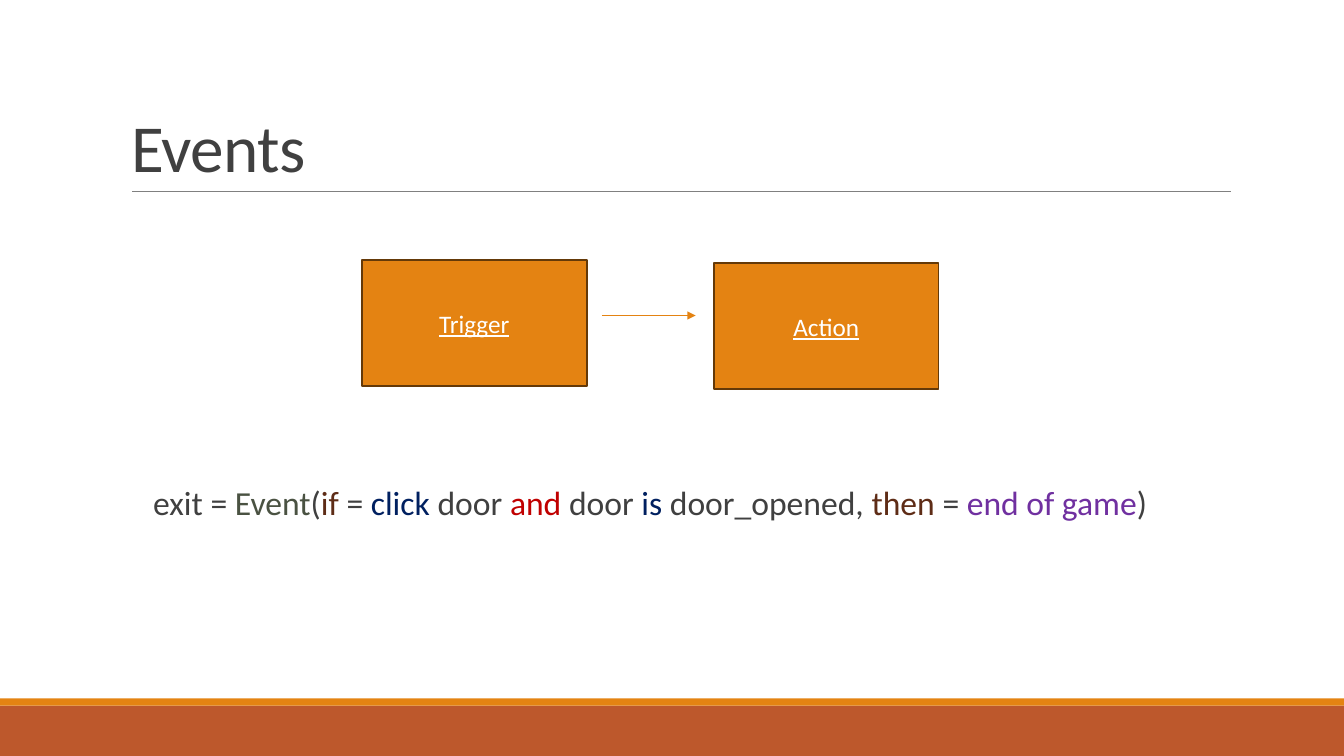
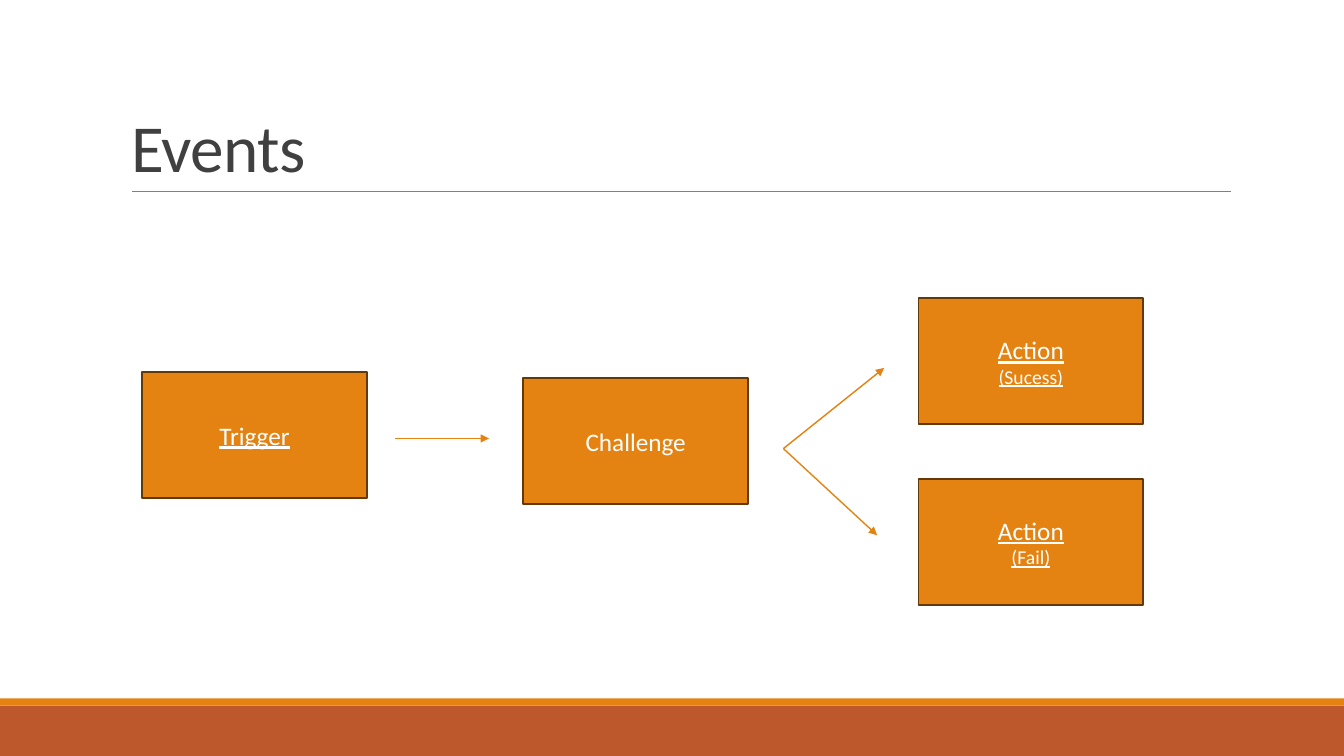
from lxml import etree
from pptx import Presentation
from pptx.dml.color import RGBColor
from pptx.enum.shapes import MSO_CONNECTOR, MSO_SHAPE
from pptx.enum.text import MSO_ANCHOR, MSO_AUTO_SIZE, PP_ALIGN
from pptx.oxml.ns import qn
from pptx.util import Inches, Pt

RECT = MSO_SHAPE.RECTANGLE
STRAIGHT = MSO_CONNECTOR.STRAIGHT
FONT = "Calibri"
COLORS = {
    "orange": "E48312", "rust": "BD582C", "outline": "643908", "rule": "808080",
    "text": "404040", "white": "FFFFFF", "class": "4A5242", "keyword": "5E2C16",
    "verb": "002060", "logic": "C00000", "result": "7030A0",
}
SLIDE_W, SLIDE_H = 13.33, 7.5
BOX_W, BOX_H = 2.23, 1.25
BANDS = [(7, 0.5, "rust"), (6.93, 0.07, "orange")]  # top, height, colour

# Boxes: left, top, lines, underlined. Arrows: x1, y1, x2, y2.
SLIDES = [
    {
        "title": "Events",
        "boxes": [(3.59, 2.58, ["Trigger"], True), (7.08, 2.61, ["Action"], True)],
        "arrows": [(5.97, 3.13, 6.9, 3.13)],
        "code": [
            ("exit = ", "text"), ("Event", "class"), ("(", "text"), ("if", "keyword"),
            (" = ", "text"), ("click", "verb"), (" door ", "text"), ("and", "logic"),
            (" door ", "text"), ("is ", "verb"), ("door_opened, ", "text"),
            ("then", "keyword"), (" = ", "text"), ("end of game", "result"), (")", "text"),
        ],
    },
    {
        "title": "Events",
        "boxes": [
            (1.41, 3.69, ["Trigger"], True),
            (5.19, 3.75, ["Challenge"], False),
            (9.11, 2.96, ["Action", "(Sucess)"], True),
            (9.11, 4.75, ["Action", "(Fail)"], True),
        ],
        "arrows": [
            (3.92, 4.35, 4.85, 4.35), (7.77, 4.45, 8.77, 3.65), (7.77, 4.45, 8.7, 5.31),
        ],
        "code": [],
    },
]


def rgb(name):
    return RGBColor.from_string(COLORS[name])


def set_font(font, size, color=None):
    font.name, font.size = FONT, Pt(size)
    if color:
        font.color.rgb = rgb(color)


def add_rect(slide, x, y, w, h, fill, outline=None):
    sp = slide.shapes.add_shape(RECT, Inches(x), Inches(y), Inches(w), Inches(h))
    sp.shadow.inherit = False
    sp.fill.solid()
    sp.fill.fore_color.rgb = rgb(fill)
    if outline:
        sp.line.color.rgb = rgb(outline)
        sp.line.width = Pt(1.25)
    else:
        sp.line.fill.background()
    return sp


def add_line(slide, x1, y1, x2, y2, color, width, arrow=False):
    line = slide.shapes.add_connector(
        STRAIGHT, Inches(x1), Inches(y1), Inches(x2), Inches(y2))
    line.line.color.rgb = rgb(color)
    line.line.width = Pt(width)
    if arrow:
        etree.SubElement(line.line._get_or_add_ln(), qn("a:tailEnd"), type="triangle")
    etree.SubElement(line.element.spPr, qn("a:effectLst"))


def add_frame(slide, title):
    """Draw what every slide shares: bands, title and the rule below it."""
    for top, height, color in BANDS:
        add_rect(slide, 0, top, SLIDE_W, height, color)
    add_line(slide, 1.31, 1.9, 12.21, 1.9, "rule", 0.5)
    sp = slide.shapes.title
    sp.left, sp.top, sp.width, sp.height = (Inches(v) for v in (1.2, 0.31, 11, 1.59))
    tf = sp.text_frame
    tf.text = title
    tf.auto_size = MSO_AUTO_SIZE.NONE
    tf.vertical_anchor = MSO_ANCHOR.BOTTOM
    p = tf.paragraphs[0]
    p.alignment = PP_ALIGN.LEFT
    p.line_spacing = 0.85
    set_font(p.font, 48, "text")
    p.runs[0].font._element.set("spc", "-50")


def add_box(slide, x, y, lines, underlined):
    sp = add_rect(slide, x, y, BOX_W, BOX_H, "orange", "outline")
    tf = sp.text_frame
    tf.text = "\n".join(lines)
    tf.vertical_anchor = MSO_ANCHOR.MIDDLE
    for p, size in zip(tf.paragraphs, (18, 14)):
        p.alignment = PP_ALIGN.CENTER
        set_font(p.font, size, "white")
        p.font.underline = underlined


def add_code(slide, parts):
    sp = slide.shapes.add_textbox(Inches(1.52), Inches(4.78), Inches(11), Inches(0.5))
    tf = sp.text_frame
    tf.word_wrap = True
    tf.margin_left = tf.margin_right = 0
    p = tf.paragraphs[0]
    p.line_spacing = 0.9
    set_font(p.font, 24)
    for text, color in parts:
        r = p.add_run()
        r.text = text
        r.font.color.rgb = rgb(color)


def main():
    prs = Presentation()
    prs.slide_width, prs.slide_height = Inches(SLIDE_W), Inches(SLIDE_H)
    for content in SLIDES:
        slide = prs.slides.add_slide(prs.slide_layouts[5])
        add_frame(slide, content["title"])
        for box in content["boxes"]:
            add_box(slide, *box)
        for ends in content["arrows"]:
            add_line(slide, *ends, "orange", 1, arrow=True)
        if content["code"]:
            add_code(slide, content["code"])
    prs.save("out.pptx")


if __name__ == "__main__":
    main()
